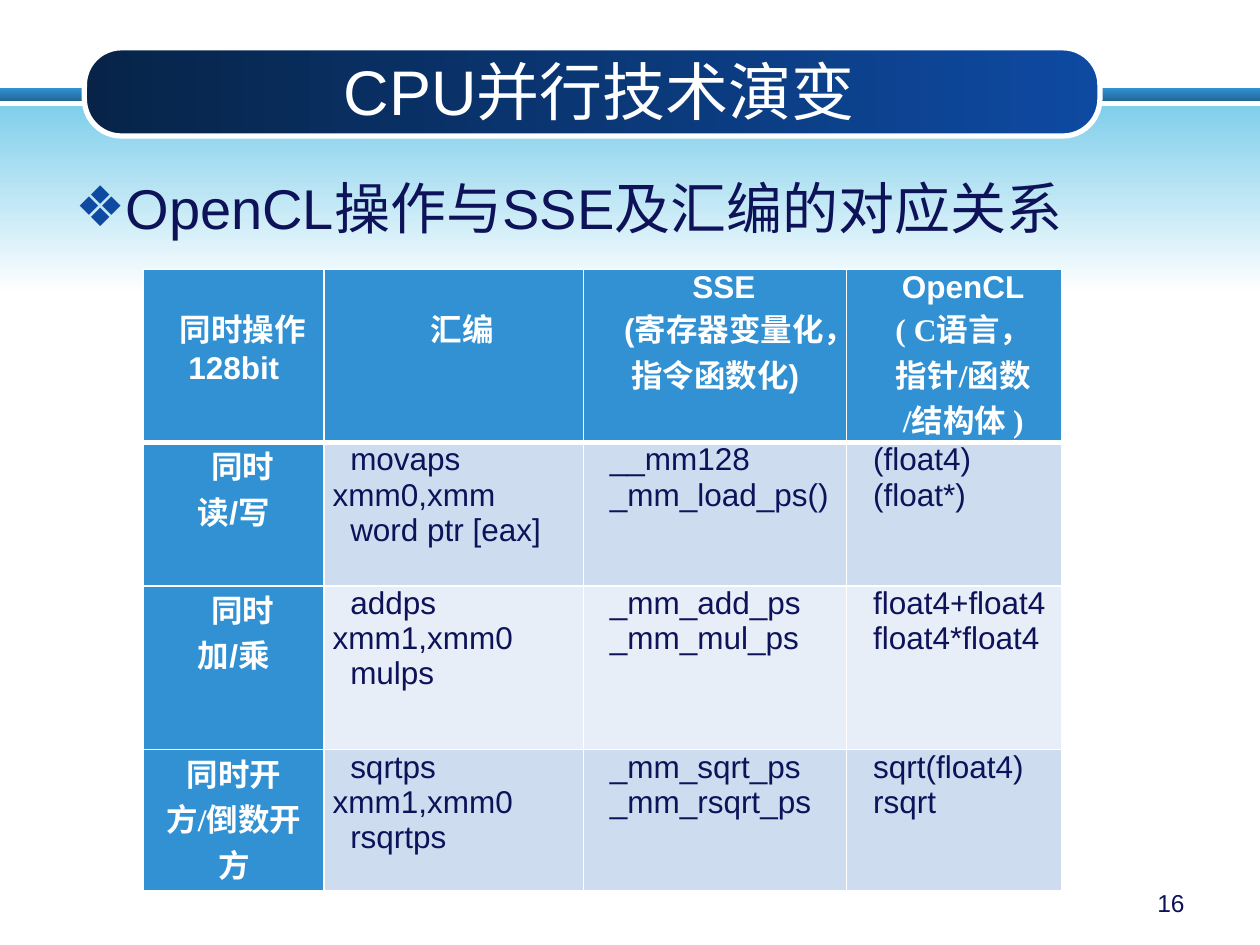
from lxml.etree import SubElement
from pptx import Presentation
from pptx.dml.color import RGBColor
from pptx.enum.shapes import MSO_SHAPE as Shape
from pptx.enum.text import MSO_ANCHOR as Anchor, PP_ALIGN as Align
from pptx.oxml.ns import qn
from pptx.util import Inches, Pt

WHITE, NAVY, BLUE = "FFFFFF", "0D1259", "3191D3"
BANDS = ["CEDCEF", "E8EEF7"]
COLUMN_WIDTHS = [1.43, 2.06, 2.09, 1.71]
ROW_HEIGHTS = [1.37, 1.14, 1.3, 1.12]
ROWS = [
    [["同时操作\v128bit"], ["汇编"], ["SSE", "(寄存器变量化，指令函数化)"],
     ["OpenCL", "( C语言，", "指针/函数", "/结构体 )"]],
    [["同时\v读/写"], ["movaps\vxmm0,xmm", "word ptr [eax]"],
     ["__mm128", "_mm_load_ps()"], ["(float4)", "(float*)"]],
    [["同时\v加/乘"], ["addps\vxmm1,xmm0", "mulps"],
     ["_mm_add_ps", "_mm_mul_ps"], ["float4+float4", "float4*float4"]],
    [["同时开\v方/倒数开方"], ["sqrtps\vxmm1,xmm0", "rsqrtps"],
     ["_mm_sqrt_ps", "_mm_rsqrt_ps"], ["sqrt(float4)", "rsqrt"]],
]
SERIF_TEXTS = {"汇编", "( C语言，", "指针/函数", "/结构体 )", "同时开\v方/倒数开方"}
UNINDENTED_TEXTS = {"同时开\v方/倒数开方"}
LOWERED_CELLS = {(0, 0), (0, 1)}


def color(value):
    return RGBColor.from_string(value)


def style_paragraph(paragraph, text, size, text_color, align=Align.LEFT, bold=False, name="Arial"):
    paragraph.text = text
    paragraph.alignment = align
    font = paragraph.font
    font.name, font.size, font.bold = name, Pt(size), bold
    font.color.rgb = color(text_color)


def add_gradient_shape(slide, kind, box, start, end, angle):
    shape = slide.shapes.add_shape(kind, *map(Inches, box))
    shape.shadow.inherit = False
    shape.line.fill.background()
    shape.fill.gradient()
    shape.fill.gradient_angle = angle
    for stop, value in zip(shape.fill.gradient_stops, (start, end)):
        stop.color.rgb = color(value)
    return shape


def add_text_frame(slide, box, anchor=Anchor.TOP):
    frame = slide.shapes.add_textbox(*map(Inches, box)).text_frame
    frame.word_wrap = True
    frame.vertical_anchor = anchor
    return frame


def add_text(slide, box, text, size, text_color, align=Align.LEFT, anchor=Anchor.TOP):
    frame = add_text_frame(slide, box, anchor)
    style_paragraph(frame.paragraphs[0], text, size, text_color, align)


def add_bullet_text(slide, box, text):
    paragraph = add_text_frame(slide, box).paragraphs[0]
    properties = paragraph._p.get_or_add_pPr()
    properties.set("marL", str(Inches(0.38)))
    properties.set("indent", str(Inches(-0.38)))
    bullet_color = SubElement(properties, qn("a:buClr"))
    SubElement(bullet_color, qn("a:srgbClr"), val="0E4AA2")
    SubElement(properties, qn("a:buFont"), typeface="Arial")
    SubElement(properties, qn("a:buChar"), char="❖")
    style_paragraph(paragraph, text, 32, NAVY)


def add_borders(cell, bottom_width, top_width):
    properties = cell._tc.get_or_add_tcPr()
    for side, width in (("L", 1), ("R", 1), ("T", top_width), ("B", bottom_width)):
        line = SubElement(properties, qn(f"a:ln{side}"), w=str(Pt(width)))
        fill = SubElement(line, qn("a:solidFill"))
        SubElement(fill, qn("a:srgbClr"), val=WHITE)


def fill_cell(cell, row, column, texts):
    heading = row == 0 or column == 0
    add_borders(cell, 3 if row == 0 else 1, 3 if row == 1 else 1)
    cell.fill.solid()
    cell.fill.fore_color.rgb = color(BLUE if heading else BANDS[(row - 1) % 2])
    cell.margin_left = cell.margin_right = Inches(0.07)
    cell.margin_top = Inches(0.28 if (row, column) in LOWERED_CELLS else 0)
    cell.margin_bottom = 0
    frame = cell.text_frame
    for index, text in enumerate(texts):
        paragraph = frame.add_paragraph() if index else frame.paragraphs[0]
        if text not in UNINDENTED_TEXTS:
            properties = paragraph._p.get_or_add_pPr()
            properties.set("marL", "0")
            properties.set("indent", str(Inches(0.14)))
        style_paragraph(paragraph, text, 18, WHITE if heading else NAVY,
                        Align.CENTER if heading else Align.LEFT, heading,
                        "Times New Roman" if text in SERIF_TEXTS else "Arial")


def add_comparison_table(slide):
    table = slide.shapes.add_table(
        len(ROWS), len(COLUMN_WIDTHS), Inches(1.14), Inches(2.14),
        Inches(sum(COLUMN_WIDTHS)), Inches(sum(ROW_HEIGHTS))).table
    table.first_row = table.horz_banding = False
    for column, width in zip(table.columns, COLUMN_WIDTHS):
        column.width = Inches(width)
    for row, height in zip(table.rows, ROW_HEIGHTS):
        row.height = Inches(height)
    for row, cells in enumerate(ROWS):
        for column, texts in enumerate(cells):
            fill_cell(table.cell(row, column), row, column, texts)


def main():
    presentation = Presentation()
    presentation.slide_width, presentation.slide_height = Inches(10), Inches(7.5)
    slide = presentation.slides.add_slide(presentation.slide_layouts[6])
    add_gradient_shape(slide, Shape.RECTANGLE, (0, 0.7, 10, 0.1), BLUE, "236897", 270)
    add_gradient_shape(slide, Shape.RECTANGLE, (0, 0.84, 10, 1.49), "81CFEB", WHITE, 270)
    banner = add_gradient_shape(slide, Shape.ROUNDED_RECTANGLE, (0.67, 0.38, 8.06, 0.7),
                                "072448", "0E4AA2", 0)
    banner.adjustments[0] = 0.42
    banner.line.color.rgb = color(WHITE)
    banner.line.width = Pt(3)
    add_text(slide, (0.92, 0.41, 7.67, 0.62), "CPU并行技术演变", 36, WHITE,
             Align.CENTER, Anchor.MIDDLE)
    add_bullet_text(slide, (0.5, 1.33, 9, 5.58), "OpenCL操作与SSE及汇编的对应关系")
    add_text(slide, (7.17, 7, 2.33, 0.35), "16", 14, NAVY, Align.RIGHT)
    add_comparison_table(slide)
    presentation.save("out.pptx")


if __name__ == "__main__":
    main()
